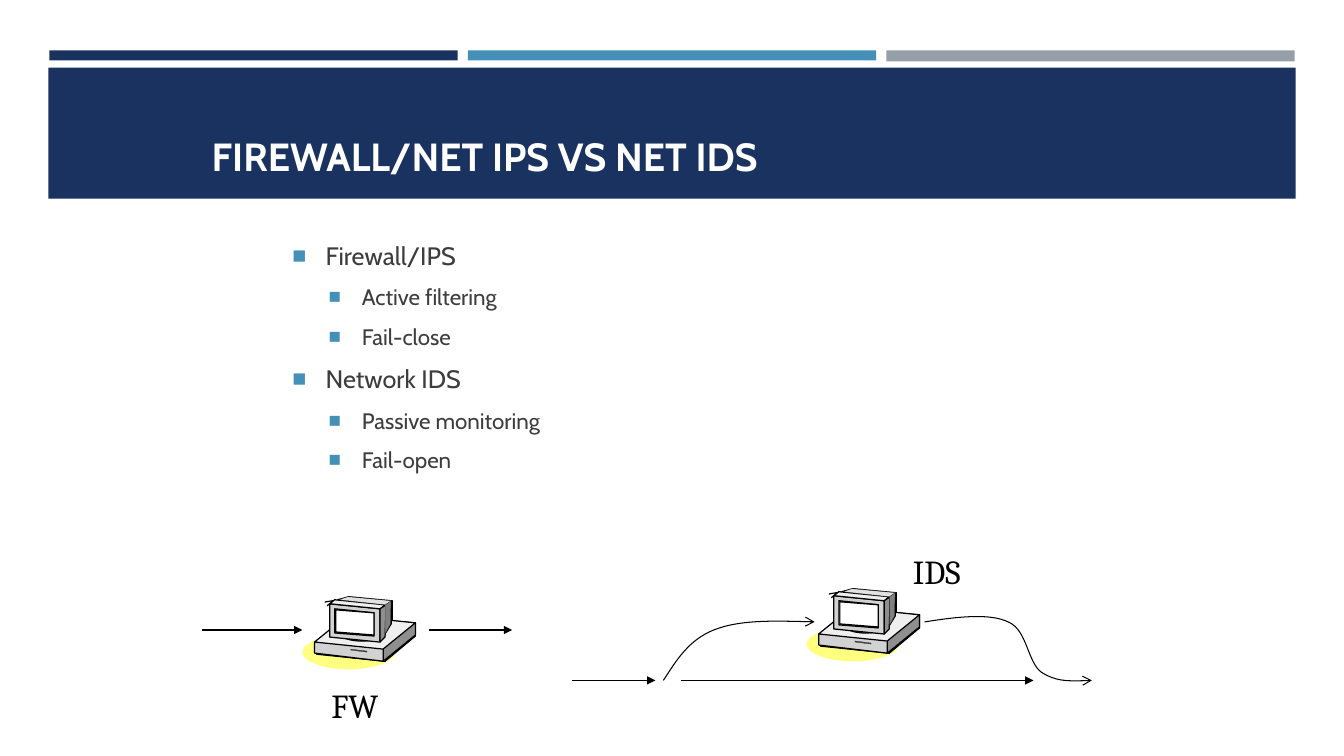
from lxml.etree import SubElement
from pptx import Presentation
from pptx.dml.color import RGBColor
from pptx.enum.shapes import MSO_CONNECTOR, MSO_SHAPE
from pptx.enum.text import MSO_ANCHOR, MSO_AUTO_SIZE, PP_ALIGN
from pptx.oxml.ns import qn
from pptx.util import Cm, Pt

NAVY, BLUE, GREY, BLACK = "1A3260", "4590B8", "969FA7", "000000"

TITLE = "FIREWALL/NET IPS VS NET IDS"
TITLE_BOX = (2, 0.25, 9.67, 1.58)
POINTS = [
    ("Firewall/IPS", ["Active filtering", "Fail-close"]),
    ("Network IDS", ["Passive monitoring", "Fail-open"]),
]
POINTS_BOX = (2.8, 1.58, 8.12, 3.92)
LEVELS = [{"size": 18, "margin": 0.33}, {"size": 16, "margin": 0.69}]

BANDS = [
    ((0.49, 0.5, 4.05, 0.1), NAVY),
    ((4.64, 0.5, 4.05, 0.1), BLUE),
    ((8.79, 0.5, 4.05, 0.11), GREY),
    ((0.48, 0.67, 12.37, 1.3), NAVY),
]

# Computer parts, back to front, in hundredths of a unit from its top left:
# (kind, fill, line width in points, coordinates)
COMPUTER = [
    ("ellipse", "FFFF80", 0, (0, 38, 92, 34)),
    ("face", BLACK, 0.88, [(34, 4), (47, 1), (89, 5), (82, 11)]),
    ("face", BLACK, 0.88, [(82, 52), (82, 64), (112, 39), (112, 26), (96, 32)]),
    ("face", BLACK, 0.88, [(14, 46), (14, 57), (82, 64), (82, 51), (20, 45)]),
    ("face", BLACK, 0.88, [(14, 45), (45, 20), (112, 26), (82, 52)]),
    ("face", BLACK, 0.88, [(28, 8), (28, 40), (78, 46), (78, 13)]),
    ("face", BLACK, 0.88, [(28, 8), (33, 4), (83, 9), (78, 13)]),
    ("face", BLACK, 0.88, [(89, 4), (89, 28), (82, 40), (81, 11)]),
    ("face", BLACK, 0.88, [(85, 5), (83, 40), (78, 45), (78, 13)]),
    ("face", "EFEFEF", 0.88, [(35, 3), (46, 0), (88, 4), (81, 10)]),
    ("face", "8F8F8F", 0.88, [(80, 51), (80, 64), (112, 38), (112, 26), (95, 31)]),
    ("face", "D2D2D2", 0.88, [(12, 45), (12, 56), (80, 64), (80, 50), (19, 44)]),
    ("face", "EFEFEF", 0.88, [(12, 45), (44, 19), (112, 26), (80, 52)]),
    ("ellipse", "8F8F8F", 0.88, (36, 26, 45, 18)),
    ("arrow", BLACK, 0.88, (27, 7, 32, 3)),
    ("face", "D2D2D2", 0.88, [(27, 7), (27, 40), (77, 45), (77, 12)]),
    ("face", "EFEFEF", 0.88, [(27, 7), (32, 3), (82, 8), (77, 12)]),
    ("face", "8F8F8F", 0.88, [(88, 4), (88, 27), (80, 40), (80, 11)]),
    ("face", "8F8F8F", 0.88, [(83, 8), (82, 40), (77, 45), (77, 12)]),
    ("face", "808080", 0.88, [(32, 12), (71, 16), (71, 39), (32, 36)]),
    ("face", "FFFFFF", 0.88, [(33, 13), (71, 16), (71, 38), (33, 35)]),
    ("face", "808080", 0.13, [(82, 37), (82, 8), (88, 4), (87, 28)]),
    ("face", "E1E1E1", 0.13, [(36, 3), (82, 8), (88, 4), (45, 0)]),
    ("face", "5F5F5F", 0.13, [(64, 54), (48, 52), (48, 53), (64, 55)]),
]
COMPUTER_ORIGINS = [(3, 5.92), (8, 5.84)]
FLOWS = [(2, 6.25, 3, 6.25), (4.25, 6.25, 5.08, 6.25),
         (5.67, 6.75, 6.5, 6.75), (6.75, 6.75, 10.25, 6.75)]
TAPS = [  # start, then three points for every curve
    [(6.58, 6.75), (6.71, 6.55), (6.83, 6.35), (7.08, 6.25),
     (7.33, 6.15), (7.71, 6.16), (8.08, 6.17)],
    [(9.17, 6.17), (9.49, 6.12), (9.81, 6.08), (10, 6.17), (10.19, 6.25),
     (10.19, 6.57), (10.33, 6.67), (10.47, 6.76), (10.65, 6.76), (10.83, 6.75)],
]
LABELS = [("FW", (3.17, 6.75, 0.7, 0.5)), ("IDS", (8.92, 5.42, 0.74, 0.5))]


def units(*values):
    """Turn layout units of 2.54 cm into lengths."""
    return [Cm(2.54 * value) for value in values]


def color(hex_string):
    return RGBColor.from_string(hex_string)


def paint(shape, fill=None, width=0):
    shape.shadow.inherit = False
    if fill:
        shape.fill.solid()
        shape.fill.fore_color.rgb = color(fill)
    else:
        shape.fill.background()
    if width:
        stroke(shape, width)
    else:
        shape.line.fill.background()


def stroke(shape, width, head=None):
    shape.line.color.rgb = color(BLACK)
    shape.line.width = Pt(width)
    if head:
        SubElement(shape.line.fill._xPr, qn("a:tailEnd"), type=head)


def add_arrow(shapes, ends, width, head):
    arrow = shapes.add_connector(MSO_CONNECTOR.STRAIGHT, *units(*ends))
    stroke(arrow, width, head)
    SubElement(arrow.element.spPr, qn("a:effectLst"))


def add_outline(shapes, points, close):
    start, *rest = [units(*point) for point in points]
    builder = shapes.build_freeform(*start)
    builder.add_line_segments(rest, close=close)
    return builder.convert_to_shape()


def add_tap(shapes, points):
    tap = add_outline(shapes, points, close=False)
    segments = list(tap.element.iter(qn("a:lnTo")))
    for first in range(0, len(segments), 3):
        curve = segments[first].makeelement(qn("a:cubicBezTo"))
        segments[first].addprevious(curve)
        for segment in segments[first:first + 3]:
            curve.append(segment[0])
            segment.getparent().remove(segment)
    paint(tap)
    stroke(tap, 0.75, "arrow")


def add_computer(shapes, left, top):
    parts = shapes.add_group_shape().shapes
    for kind, fill, width, spots in COMPUTER:
        if kind == "face":
            corners = [(left + x / 100, top + y / 100) for x, y in spots]
            paint(add_outline(parts, corners, close=True), fill, width)
            continue
        a, b, c, d = [spot / 100 for spot in spots]
        if kind == "arrow":
            add_arrow(parts, (left + a, top + b, left + c, top + d), width, "arrow")
        else:
            oval = parts.add_shape(MSO_SHAPE.OVAL, *units(left + a, top + b, c, d))
            paint(oval, fill, width)


def place(shape, box):
    for side, value in zip(("left", "top", "width", "height"), units(*box)):
        setattr(shape, side, value)


def write(paragraph, text, tint, **font_values):
    run = paragraph.add_run()
    run.text = text
    for key, value in font_values.items():
        setattr(run.font, key, value)
    run.font.color.rgb = color(tint)


def add_point(paragraph, text, level):
    look = LEVELS[level]
    paragraph.level = level
    paragraph.space_after = Pt(6)
    properties = paragraph._p.get_or_add_pPr()
    margin, indent = units(look["margin"], -0.33)
    properties.set("marL", str(margin))
    properties.set("indent", str(indent))
    SubElement(SubElement(properties, qn("a:buClr")), qn("a:srgbClr"), val=BLUE)
    SubElement(properties, qn("a:buSzPct"), val="92000")
    SubElement(properties, qn("a:buFont"), typeface="Arial")
    SubElement(properties, qn("a:buChar"), char="■")
    write(paragraph, text, "3D3D3D", name="Cabin", size=Pt(look["size"]))


def main():
    deck = Presentation()
    deck.slide_width, deck.slide_height = units(13.33, 7.5)
    slide = deck.slides.add_slide(deck.slide_layouts[1])
    shapes = slide.shapes
    title, body = shapes.title, slide.placeholders[1]

    for box, fill in BANDS:
        band = shapes.add_shape(MSO_SHAPE.RECTANGLE, *units(*box))
        paint(band, fill)
        title.element.addprevious(band.element)

    for holder, box, anchor in ((title, TITLE_BOX, MSO_ANCHOR.BOTTOM),
                                (body, POINTS_BOX, MSO_ANCHOR.MIDDLE)):
        place(holder, box)
        holder.text_frame.auto_size = MSO_AUTO_SIZE.NONE
        holder.text_frame.vertical_anchor = anchor
    heading = title.text_frame.paragraphs[0]
    heading.alignment = PP_ALIGN.LEFT
    write(heading, TITLE, "FFFFFF", name="Cabin", size=Pt(28), bold=True)

    lines = [line for topic, details in POINTS
             for line in [(topic, 0)] + [(detail, 1) for detail in details]]
    frame = body.text_frame
    for number, (text, level) in enumerate(lines):
        paragraph = frame.add_paragraph() if number else frame.paragraphs[0]
        if not number:
            paragraph.space_before = Pt(0)
        add_point(paragraph, text, level)

    for origin in COMPUTER_ORIGINS:
        add_computer(shapes, *origin)
    for ends in FLOWS:
        add_arrow(shapes, ends, 0.75, "triangle")
    for points in TAPS:
        add_tap(shapes, points)
    for text, box in LABELS:
        label = shapes.add_textbox(*units(*box)).text_frame
        label.word_wrap = False
        label.auto_size = MSO_AUTO_SIZE.SHAPE_TO_FIT_TEXT
        label.paragraphs[0].alignment = PP_ALIGN.CENTER
        write(label.paragraphs[0], text, BLACK, name="Cambria", size=Pt(24))

    deck.save("out.pptx")


if __name__ == "__main__":
    main()
